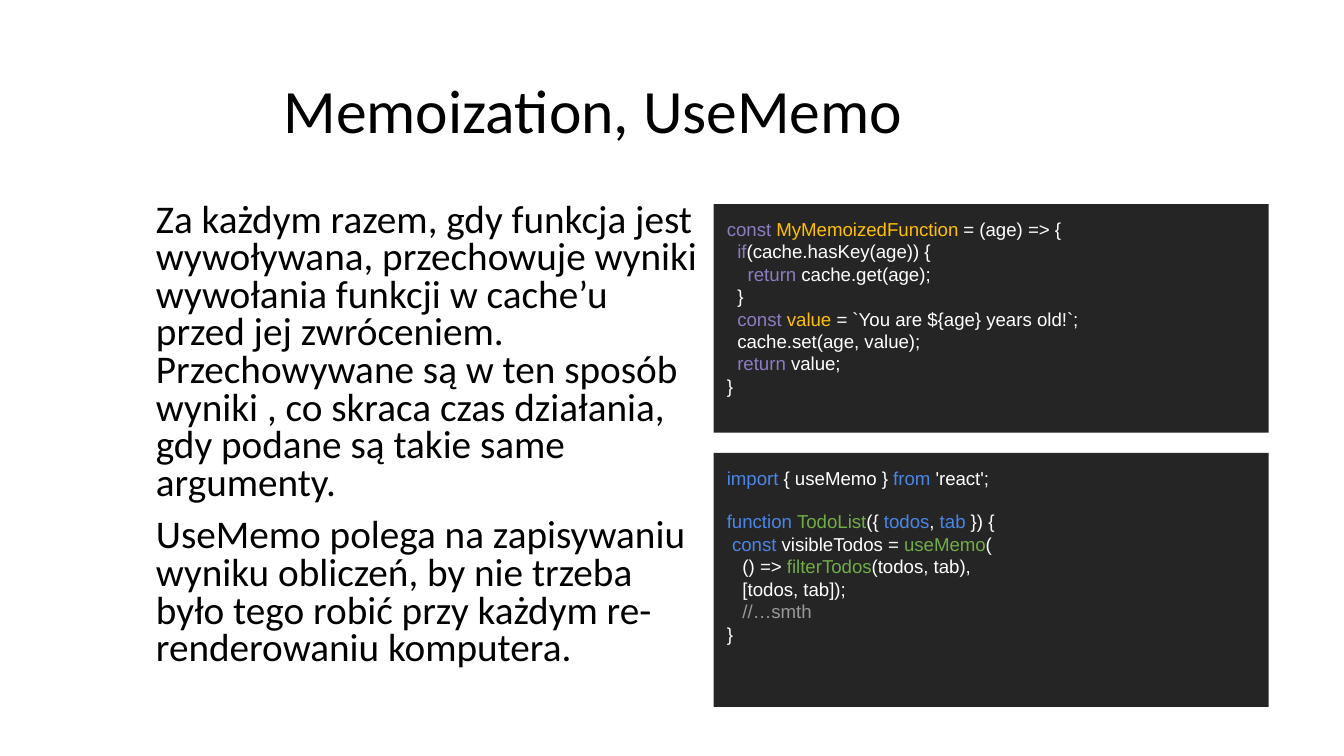
from pptx import Presentation
from pptx.dml.color import RGBColor
from pptx.enum.shapes import MSO_SHAPE
from pptx.enum.text import MSO_ANCHOR as Anchor, MSO_AUTO_SIZE as AutoSize, PP_ALIGN as Align
from pptx.util import Inches, Pt

# Colours
BLACK, WHITE, PANEL = "000000", "FFFFFF", "262525"
PURPLE, GOLD = "8E7CC3", "FFC000"
BLUE, GREEN, GREY = "4A86E8", "70AD47", "999999"

# Content
TITLE = "Memoization, UseMemo"
EXPLANATION = [
    "Za każdym razem, gdy funkcja jest wywoływana, przechowuje wyniki wywołania "
    "funkcji w cache’u przed jej zwróceniem. Przechowywane są w ten sposób wyniki , "
    "co skraca czas działania, gdy podane są takie same argumenty.",
    "UseMemo polega na zapisywaniu wyniku obliczeń, by nie trzeba było tego robić "
    "przy każdym re-renderowaniu komputera.",
]

# Code lines: indent in characters, blank lines above, (text, colour) tokens
MEMOIZE_CODE = [
    (0, 0, [("const ", PURPLE), ("MyMemoizedFunction ", GOLD), ("= (age) => {", WHITE)]),
    (2, 0, [("if", PURPLE), ("(cache.hasKey(age)) {", WHITE)]),
    (4, 0, [("return ", PURPLE), ("cache.get(age);", WHITE)]),
    (2, 0, [("}", WHITE)]),
    (2, 0, [("const ", PURPLE), ("value ", GOLD), ("= `You are ${age} years old!`;", WHITE)]),
    (2, 0, [("cache.set(age, value);", WHITE)]),
    (2, 0, [("return ", PURPLE), ("value;", WHITE)]),
    (0, 0, [("}", WHITE)]),
]
USE_MEMO_CODE = [
    (0, 0, [("import ", BLUE), ("{ useMemo } ", WHITE), ("from ", BLUE), ("'react';", WHITE)]),
    (0, 1, [("function ", BLUE), ("TodoList", GREEN), ("({ ", WHITE), ("todos", BLUE),
            (", ", WHITE), ("tab ", BLUE), ("}) {", WHITE)]),
    (1, 0, [("const ", BLUE), ("visibleTodos = ", WHITE), ("useMemo", GREEN), ("(", WHITE)]),
    (3, 0, [("() => ", WHITE), ("filterTodos", GREEN), ("(todos, tab),", WHITE)]),
    (3, 0, [("[todos, tab]);", WHITE)]),
    (3, 0, [("//…smth", GREY)]),
    (0, 0, [("}", WHITE)]),
]

# Layout
PANEL_LEFT, PANEL_WIDTH = 5.31, 4.13
PANELS = [(1.52, 1.7, MEMOIZE_CODE), (3.37, 1.89, USE_MEMO_CODE)]  # top, height, code
CODE_SIZE = 10
SPACE_WIDTH = 0.28 * CODE_SIZE  # Arial space, points
CODE_LINE = 1.15 * CODE_SIZE    # Arial line height, points


def colour(hex_code):
    return RGBColor.from_string(hex_code)


def write(frame, lines, *, size, font, margins, anchor=Anchor.TOP, spacing=None, before=0):
    """Fill a frame with lines of (indent in points, extra space above, tokens)."""
    frame.word_wrap, frame.auto_size = True, AutoSize.NONE
    frame.vertical_anchor = anchor
    frame.margin_left = frame.margin_right = Inches(margins[0])
    frame.margin_top = frame.margin_bottom = Inches(margins[1])
    for number, (indent, extra, tokens) in enumerate(lines):
        paragraph = frame.add_paragraph() if number else frame.paragraphs[0]
        paragraph.alignment = Align.LEFT
        paragraph.line_spacing = spacing
        paragraph.space_before = Pt(before + extra)
        properties = paragraph._p.get_or_add_pPr()
        properties.set("marL", str(int(Pt(indent))))
        properties.set("indent", "0")
        for text, hex_code in tokens:
            run = paragraph.add_run()
            run.text = text
            run.font.size, run.font.name = Pt(size), font
            run.font.color.rgb = colour(hex_code)


# Slide, 16:9
deck = Presentation()
deck.slide_width = Inches(10)
deck.slide_height = deck.slide_width * 9 // 16
slide = deck.slides.add_slide(deck.slide_layouts[5])

# Title
heading = slide.shapes.title
heading.left, heading.top = Inches(2.04), Inches(0.3)
heading.width, heading.height = Inches(7.27), Inches(1.09)
write(heading.text_frame, [(0, 0, [(TITLE, BLACK)])], size=33, font="Calibri",
      margins=(0.07, 0.03), anchor=Anchor.MIDDLE, spacing=0.9)

# Explanation
explanation = slide.shapes.add_textbox(Inches(1.09), Inches(1.48), Inches(4.22), Inches(3.78))
write(explanation.text_frame, [(0, 0, [(text, BLACK)]) for text in EXPLANATION],
      size=21, font="Calibri", margins=(0.07, 0.03), spacing=0.8, before=8)

# Code panels
for top, height, code in PANELS:
    panel = slide.shapes.add_shape(MSO_SHAPE.RECTANGLE, Inches(PANEL_LEFT), Inches(top),
                                   Inches(PANEL_WIDTH), Inches(height))
    panel.shadow.inherit = False
    panel.fill.solid()
    panel.fill.fore_color.rgb = colour(PANEL)
    panel.line.fill.background()
    code_lines = [(indent * SPACE_WIDTH, blanks * CODE_LINE, tokens)
                  for indent, blanks, tokens in code]
    write(panel.text_frame, code_lines, size=CODE_SIZE, font="Arial", margins=(0.1, 0.1))

deck.save("out.pptx")
